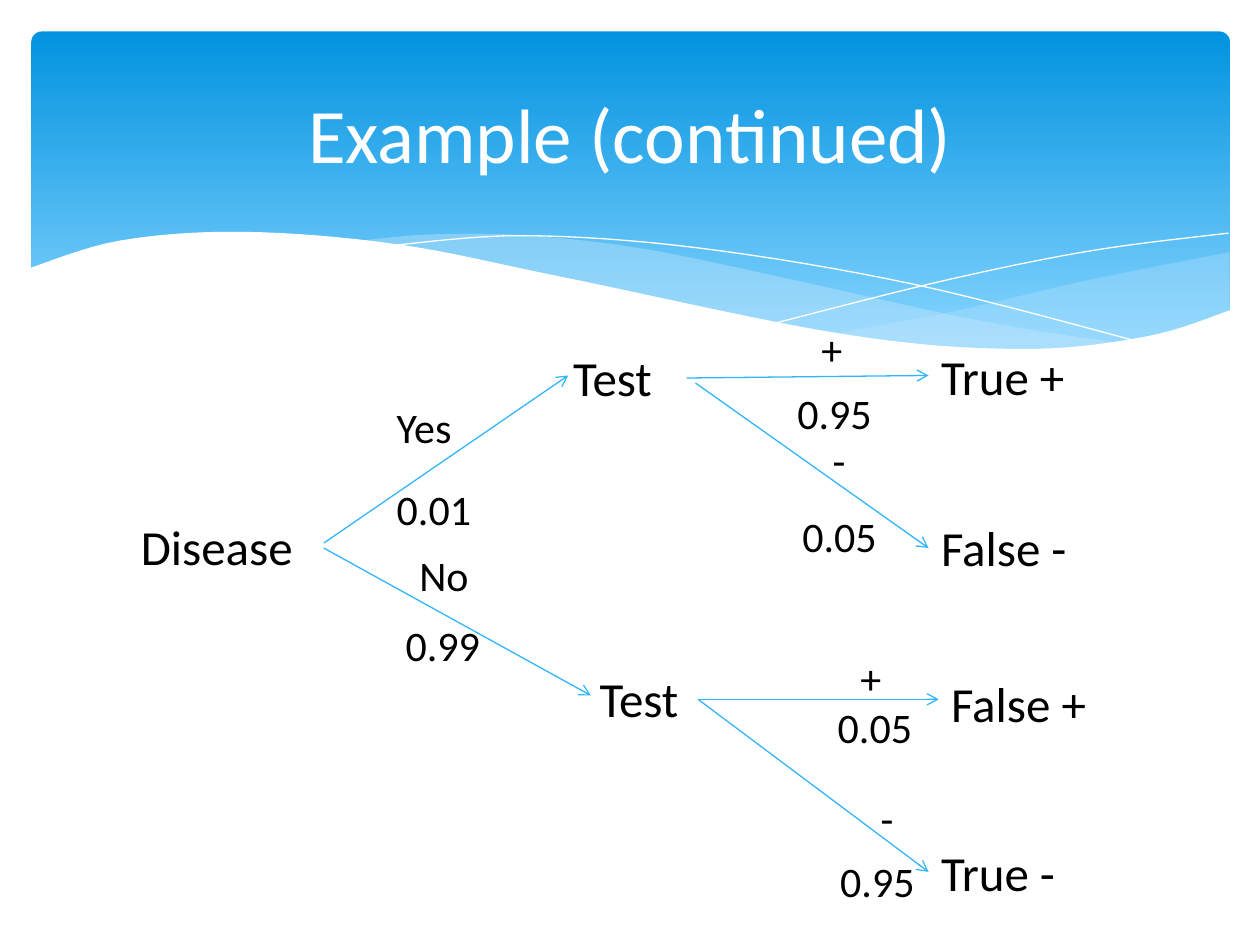
from typing import NamedTuple

from lxml import etree
from pptx import Presentation
from pptx.dml.color import RGBColor
from pptx.enum.shapes import MSO_CONNECTOR, MSO_SHAPE
from pptx.enum.text import MSO_ANCHOR, MSO_AUTO_SIZE, PP_ALIGN
from pptx.oxml.ns import qn
from pptx.util import Inches, Pt

STRAIGHT = MSO_CONNECTOR.STRAIGHT
ROUNDED = MSO_SHAPE.ROUNDED_RECTANGLE
MIDDLE = MSO_ANCHOR.MIDDLE
GROW, FIXED = MSO_AUTO_SIZE.SHAPE_TO_FIT_TEXT, MSO_AUTO_SIZE.NONE
LEFT, CENTER = PP_ALIGN.LEFT, PP_ALIGN.CENTER

WHITE = RGBColor(0xFF, 0xFF, 0xFF)
BLACK = RGBColor(0x00, 0x00, 0x00)
BANNER_TOP = RGBColor(0x02, 0x93, 0xE0)
BANNER_BOTTOM = RGBColor(0x83, 0xD3, 0xFE)
PALE_BLUE = RGBColor(0xC6, 0xE7, 0xFC)
ARROW_BLUE = RGBColor(0x31, 0xB6, 0xFD)

FONT = "Calibri"
NODE_SIZE, NODE_HEIGHT = 28, 0.57
BRANCH_SIZE, BRANCH_HEIGHT = 24, 0.5
CURVE_STEPS = 8

Point = tuple[float, float]


class Wave(NamedTuple):
    edges: list[list[Point]]  # each edge is smoothed through its knots
    fill: RGBColor | None = None  # None draws a white hairline
    opacity: int = 100


class Label(NamedTuple):
    text: str
    left: float
    top: float
    width: float


class Branch(NamedTuple):
    start: Point
    end: Point


RIGHT_SWELL = Wave([
    [(9.76, 2), (8.61, 2.23), (7.53, 2.48), (6.61, 2.65)],
    [(6.61, 2.65), (7.45, 2.75), (8.24, 2.77), (9.05, 2.69), (9.76, 2.47)],
], PALE_BLUE, 29)
MIDDLE_SWELL = Wave([
    [(8.93, 2.73), (7.75, 2.54), (6.29, 2.22), (5.14, 1.98), (4.2, 1.87),
     (3.44, 1.86), (2.86, 1.91)],
    [(2.86, 1.91), (3.83, 2.07), (5.3, 2.4), (6.65, 2.66), (7.96, 2.78),
     (8.93, 2.73)],
], PALE_BLUE, 40)
FALLING_LINE = Wave([
    [(3.09, 1.95), (4.16, 1.87), (5.56, 1.97), (7.27, 2.26), (9.07, 2.72)]])
RISING_LINE = Wave([[(6.13, 2.57), (7.48, 2.23), (8.66, 1.99), (9.75, 1.85)]])
FRONT_WAVE = Wave([
    [(9.77, 2.46), (9.1, 2.67), (8.09, 2.77), (6.68, 2.65), (4.47, 2.2),
     (3.16, 1.94), (1.93, 1.84), (0.95, 1.91), (0.23, 2.13)],
    [(0.23, 3.29), (9.77, 3.29)],
], WHITE)
WAVES = [RIGHT_SWELL, MIDDLE_SWELL, FALLING_LINE, RISING_LINE, FRONT_WAVE]

NODES = [
    Label("Disease", 1.02, 4.05, 1.62),
    Label("Test", 4.45, 2.71, 1),
    Label("Test", 4.66, 5.26, 0.89),
    Label("True +", 7.37, 2.7, 1.52),
    Label("False -", 7.37, 4.06, 1.39),
    Label("False +", 7.45, 5.3, 1.62),
    Label("True -", 7.37, 6.64, 1.15),
]

BRANCH_LABELS = [
    Label("Yes", 3.05, 3.14, 0.89),
    Label("0.01", 3.05, 3.79, 1.01),
    Label("No", 3.23, 4.31, 0.62),
    Label("0.99", 3.12, 4.87, 0.92),
    Label("+", 6.42, 2.52, 0.64),
    Label("0.95", 6.23, 3.03, 1.01),
    Label("-", 6.51, 3.4, 0.46),
    Label("0.05", 6.27, 4, 0.94),
    Label("+", 6.73, 5.13, 0.24),
    Label("0.05", 6.55, 5.52, 0.92),
    Label("-", 6.89, 6.24, 0.33),
    Label("0.95", 6.57, 6.74, 0.97),
]

BRANCHES = [
    Branch((2.57, 4.31), (4.51, 2.98)),
    Branch((2.57, 4.35), (4.69, 5.52)),
    Branch((5.45, 3), (7.37, 2.98)),
    Branch((5.52, 3.04), (7.37, 4.35)),
    Branch((5.54, 5.55), (7.45, 5.55)),
    Branch((5.54, 5.55), (7.37, 6.92)),
]


def smooth(knots: list[Point]) -> list[Point]:
    """Points of a Catmull-Rom curve through the knots."""
    padded = [knots[0], *knots, knots[-1]]
    curve = [knots[0]]
    for before, start, end, after in zip(padded, knots, knots[1:], padded[3:]):
        for step in range(1, CURVE_STEPS + 1):
            t = step / CURVE_STEPS
            x, y = (
                b + ((c - a) * t + (2 * a - 5 * b + 4 * c - d) * t ** 2
                     + (3 * b - a - 3 * c + d) * t ** 3) / 2
                for a, b, c, d in zip(before, start, end, after))
            curve.append((x, y))
    return curve


def draw_banner(slide) -> None:
    banner = slide.shapes.add_shape(
        ROUNDED, Inches(0.25), Inches(0.25), Inches(9.51), Inches(2.7))
    banner.adjustments[0] = 0.03
    banner.shadow.inherit = False
    banner.line.fill.background()
    banner.fill.gradient()
    banner.fill.gradient_angle = 270
    top, bottom = banner.fill.gradient_stops
    top.color.rgb, top.position = BANNER_TOP, 0
    bottom.color.rgb, bottom.position = BANNER_BOTTOM, 0.9


def draw_wave(slide, wave: Wave) -> None:
    start, *rest = [(Inches(x), Inches(y))
                    for edge in wave.edges for x, y in smooth(edge)]
    builder = slide.shapes.build_freeform(*start)
    builder.add_line_segments(rest, close=wave.fill is not None)
    swell = builder.convert_to_shape()
    swell.shadow.inherit = False
    if wave.fill is None:
        swell.fill.background()
        swell.line.color.rgb = WHITE
        swell.line.width = Pt(0)
        return
    swell.line.fill.background()
    swell.fill.solid()
    swell.fill.fore_color.rgb = wave.fill
    if wave.opacity < 100:
        color = swell._element.spPr.find(f".//{qn('a:srgbClr')}")
        etree.SubElement(color, qn("a:alpha"), val=str(wave.opacity * 1000))


def draw_label(slide, label: Label, height: float, size: int,
               color: RGBColor = BLACK, align=LEFT, fit=GROW):
    box = slide.shapes.add_textbox(Inches(label.left), Inches(label.top),
                                   Inches(label.width), Inches(height))
    frame = box.text_frame
    frame.text = label.text
    frame.word_wrap = True
    frame.auto_size = fit
    paragraph = frame.paragraphs[0]
    paragraph.alignment = align
    font = paragraph.runs[0].font
    font.name, font.size, font.color.rgb = FONT, Pt(size), color
    return frame


def draw_branch(slide, branch: Branch) -> None:
    ends = [Inches(value) for value in branch.start + branch.end]
    arrow = slide.shapes.add_connector(STRAIGHT, *ends)
    arrow.line.color.rgb = ARROW_BLUE
    arrow.line.width = Pt(0.75)
    properties = arrow._element.spPr
    etree.SubElement(properties.find(qn("a:ln")), qn("a:tailEnd"), type="arrow")
    etree.SubElement(properties, qn("a:effectLst"))


def main() -> None:
    deck = Presentation()
    deck.slide_width, deck.slide_height = Inches(10), Inches(7.5)
    slide = deck.slides.add_slide(deck.slide_layouts[6])

    # Banner and title
    draw_banner(slide)
    for wave in WAVES:
        draw_wave(slide, wave)
    title = draw_label(slide, Label("Example (continued)", 0.5, 0.37, 9),
                       1.37, 44, WHITE, CENTER, FIXED)
    title.vertical_anchor = MIDDLE

    # Probability tree
    for branch in BRANCHES:
        draw_branch(slide, branch)
    for node in NODES:
        draw_label(slide, node, NODE_HEIGHT, NODE_SIZE)
    for label in BRANCH_LABELS:
        draw_label(slide, label, BRANCH_HEIGHT, BRANCH_SIZE)

    deck.save("out.pptx")


if __name__ == "__main__":
    main()
